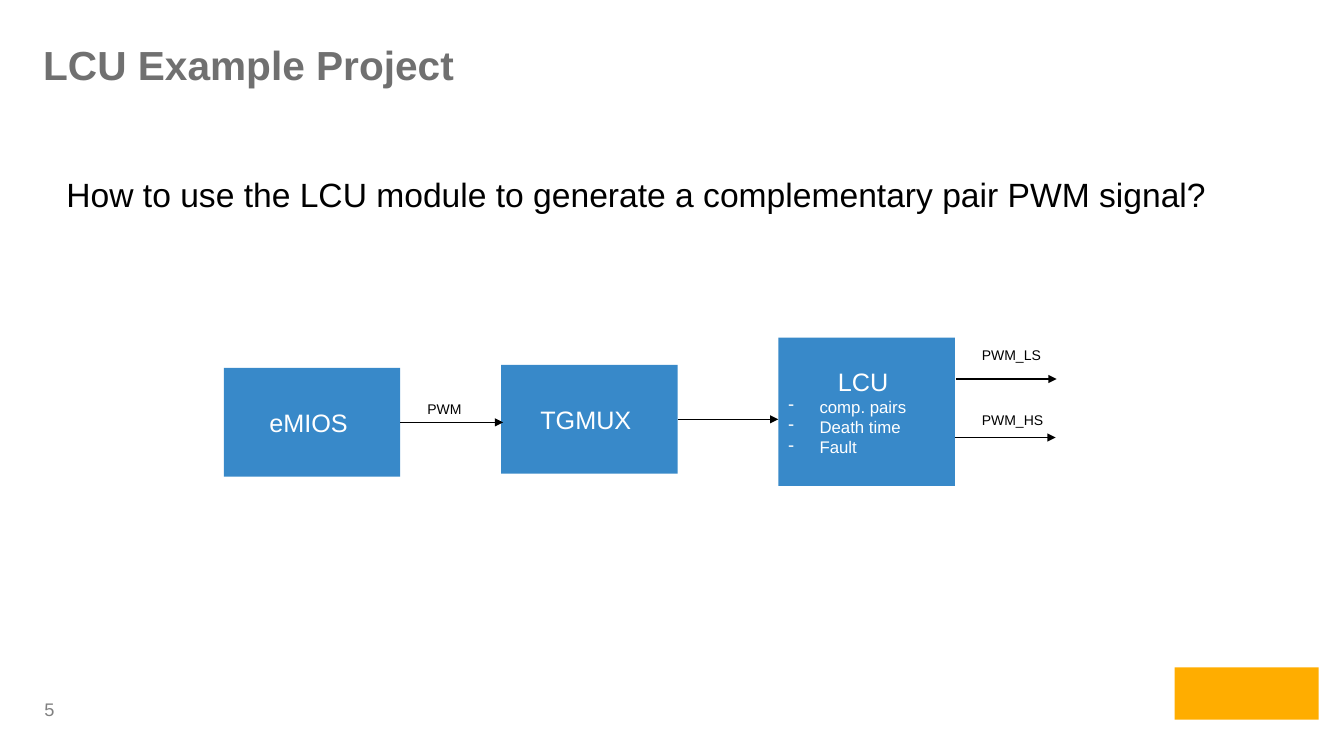
from dataclasses import dataclass

from lxml import etree
from pptx import Presentation
from pptx import util as u
from pptx.dml.color import RGBColor
from pptx.enum import shapes, text
from pptx.oxml import ns

FONT = "Arial"
BLACK = RGBColor(0x00, 0x00, 0x00)
WHITE = RGBColor(0xFF, 0xFF, 0xFF)
TITLE_GRAY = RGBColor(0x70, 0x70, 0x70)
NUMBER_GRAY = RGBColor(0x80, 0x80, 0x80)
BLUE = RGBColor(0x38, 0x89, 0xC9)
ORANGE = RGBColor(0xFF, 0xAD, 0x00)

BLOCK_W = 1.75
BULLET_INDENT = 0.31


@dataclass
class Block:
    name: str
    x: float
    y: float
    h: float
    items: tuple[str, ...] = ()

    @property
    def right(self) -> float:
        return self.x + BLOCK_W

    @property
    def middle(self) -> float:
        return self.y + self.h / 2


@dataclass
class Arrow:
    x: float
    y: float
    end_x: float
    source: str = ""


@dataclass
class Label:
    text: str
    x: float
    y: float


EMIOS = Block("eMIOS ", 2.22, 3.65, 1.08)
TGMUX = Block("TGMUX ", 4.97, 3.62, 1.08)
LCU = Block("LCU ", 7.72, 3.35, 1.47, ("comp. pairs", "Death time", "Fault"))
BLOCKS = [EMIOS, TGMUX, LCU]

ARROWS = [
    Arrow(EMIOS.right, EMIOS.middle, 4.99, EMIOS.name),
    Arrow(TGMUX.right, TGMUX.middle, LCU.x, TGMUX.name),
    Arrow(9.48, 3.76, 10.48),
    Arrow(9.47, 4.34, 10.47),
]

LABELS = [
    Label("PWM", 4.14, 3.92),
    Label("PWM_LS", 9.64, 3.39),
    Label("PWM_HS", 9.64, 4.03),
]


def add_text(tf, content: str, *, size: float, color: RGBColor = BLACK,
             bold: bool = False, align=text.PP_ALIGN.LEFT,
             bullet: str = "", first: bool = True) -> None:
    """Write one paragraph into a text frame."""
    p = tf.paragraphs[0] if first else tf.add_paragraph()
    p.alignment = align
    r = p.add_run()
    r.text = content
    r.font.name = FONT
    r.font.size = u.Pt(size)
    r.font.bold = bold
    r.font.color.rgb = color
    if bullet:
        props = p._p.get_or_add_pPr()
        indent = u.Inches(BULLET_INDENT)
        props.set("marL", str(indent))
        props.set("indent", str(-indent))
        etree.SubElement(props, ns.qn("a:buChar"), char=bullet)


def add_box(s, x: float, y: float, w: float, h: float):
    """Add an empty wrapping text box and return its text frame."""
    sp = s.shapes.add_textbox(u.Inches(x), u.Inches(y), u.Inches(w), u.Inches(h))
    sp.text_frame.word_wrap = True
    return sp.text_frame


def add_rect(s, x: float, y: float, w: float, h: float, color: RGBColor):
    sp = s.shapes.add_shape(shapes.MSO_SHAPE.RECTANGLE, u.Inches(x), u.Inches(y),
                            u.Inches(w), u.Inches(h))
    sp.shadow.inherit = False
    sp.fill.solid()
    sp.fill.fore_color.rgb = color
    sp.line.fill.background()
    return sp


def add_block(s, block: Block):
    sp = add_rect(s, block.x, block.y, BLOCK_W, block.h, BLUE)
    tf = sp.text_frame
    tf.word_wrap = True
    tf.vertical_anchor = text.MSO_ANCHOR.MIDDLE
    add_text(tf, block.name, size=18, color=WHITE, align=text.PP_ALIGN.CENTER)
    for item in block.items:
        add_text(tf, item, size=12, color=WHITE, bullet="-", first=False)
    return sp


def add_arrow(s, arrow: Arrow, blocks: dict) -> None:
    y = u.Inches(arrow.y)
    line = s.shapes.add_connector(shapes.MSO_CONNECTOR.STRAIGHT,
                                  u.Inches(arrow.x), y, u.Inches(arrow.end_x), y)
    if arrow.source:
        line.begin_connect(blocks[arrow.source], 3)
    line.line.color.rgb = BLACK
    line.line.width = u.Pt(0.75)
    etree.SubElement(line.line._get_or_add_ln(), ns.qn("a:tailEnd"), type="triangle")
    etree.SubElement(line._element.spPr, ns.qn("a:effectLst"))


def main() -> None:
    prs = Presentation()
    prs.slide_width, prs.slide_height = u.Inches(13.33), u.Inches(7.5)
    s = prs.slides.add_slide(prs.slide_layouts[6])

    # Slide number and plain corner mark
    tf = add_box(s, 0.37, 6.89, 0.65, 0.3)
    tf.margin_left = tf.margin_right = u.Inches(0.07)
    tf.margin_top = tf.margin_bottom = u.Inches(0.04)
    tf.vertical_anchor = text.MSO_ANCHOR.MIDDLE
    add_text(tf, "5", size=13, color=NUMBER_GRAY)
    add_rect(s, 11.65, 6.62, 1.43, 0.52, ORANGE)

    # Title and question
    tf = add_box(s, 0.33, 0.31, 12.75, 0.72)
    tf.margin_top = u.Inches(0.09)
    add_text(tf, "LCU Example Project", size=29, color=TITLE_GRAY, bold=True)
    tf = add_box(s, 0.56, 1.64, 12.75, 0.74)
    tf.margin_top = u.Inches(0.09)
    add_text(tf, "How to use the LCU module to generate a complementary pair PWM signal?",
             size=24)

    # Signal chain
    blocks = {block.name: add_block(s, block) for block in BLOCKS}
    for arrow in ARROWS:
        add_arrow(s, arrow, blocks)
    for label in LABELS:
        tf = add_box(s, label.x, label.y, 0.75, 0.33)
        tf.margin_right = 0
        add_text(tf, label.text, size=10)

    prs.save("out.pptx")


if __name__ == "__main__":
    main()
